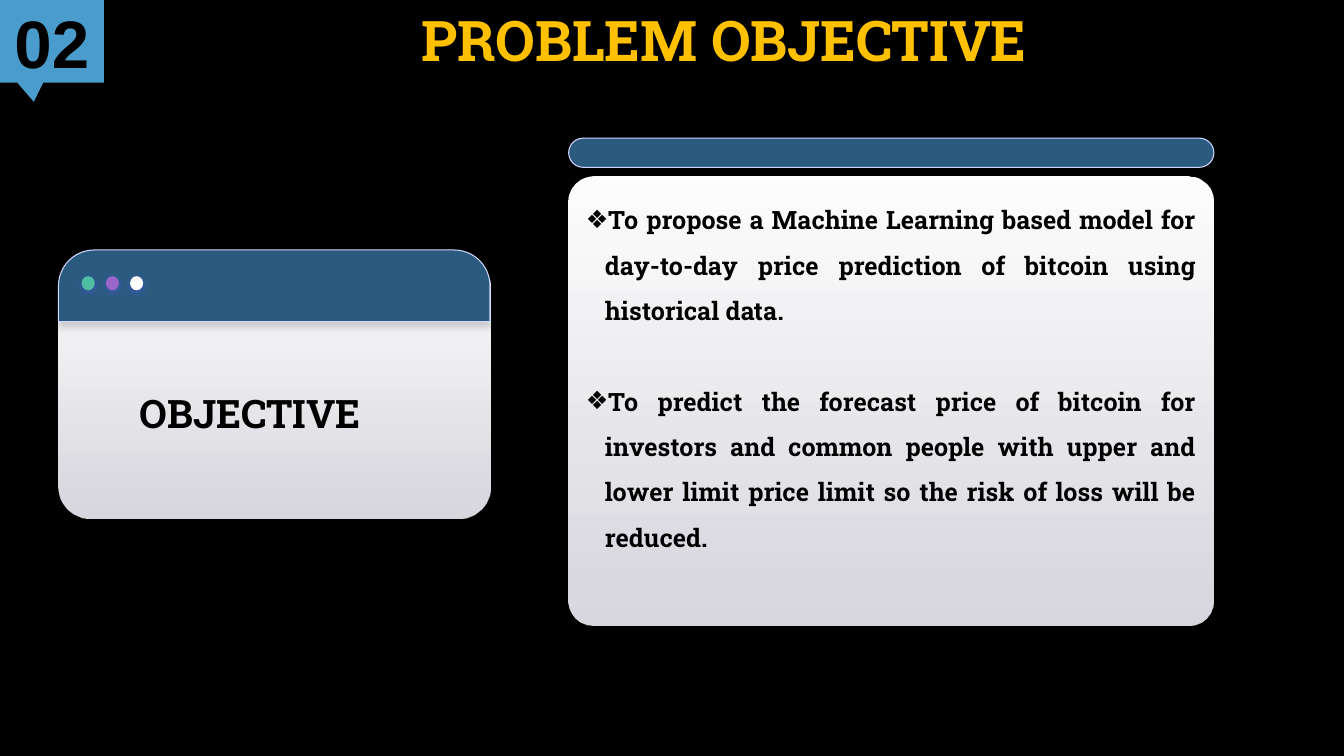
from dataclasses import dataclass
from typing import Optional

from lxml import etree
from pptx import Presentation, util as u
from pptx.dml.color import RGBColor
from pptx.enum import shapes, text
from pptx.oxml import ns

BLACK = RGBColor(0x00, 0x00, 0x00)
WHITE = RGBColor(0xFF, 0xFF, 0xFF)
MIST = RGBColor(0xF9, 0xF8, 0xFF)
NAVY = RGBColor(0x2A, 0x5B, 0x7F)
EDGE = RGBColor(0xD2, 0xD6, 0xFF)
SKY = RGBColor(0x4A, 0x9C, 0xCC)
GOLD = RGBColor(0xFF, 0xC0, 0x00)
GREEN = RGBColor(0x50, 0xBE, 0xA3)
PURPLE = RGBColor(0x9A, 0x66, 0xCA)
INDIGO = RGBColor(0x53, 0x52, 0xEE)

SLAB = "Roboto Slab"
KIND = shapes.MSO_SHAPE
GOALS = [
    "To propose a Machine Learning based model for day-to-day price "
    "prediction of bitcoin using historical data.",
    "To predict the forecast price of bitcoin for investors and common people "
    "with upper and lower limit price limit so the risk of loss will be reduced.",
]


@dataclass
class Shade:
    color: RGBColor
    alpha: int
    dist: float


@dataclass
class Part:
    kind: shapes.MSO_SHAPE
    box: tuple[float, float, float, float]
    shade: Shade
    fill: Optional[RGBColor] = None  # None gives the pale gradient
    adj: tuple[float, ...] = ()
    line: Optional[RGBColor] = None


def place(shape, box: tuple[float, float, float, float]) -> None:
    shape.left, shape.top, shape.width, shape.height = map(u.Inches, box)


def add_alpha(color, percent: int) -> None:
    etree.SubElement(color, ns.qn("a:alpha"), val=str(percent * 1000))


def cast(shape, shade: Shade) -> None:
    shape.shadow.inherit = False
    effects = shape._element.spPr.find(ns.qn("a:effectLst"))
    outer = etree.SubElement(
        effects, ns.qn("a:outerShdw"), blurRad=str(u.Pt(4.5)),
        dist=str(u.Pt(shade.dist)), dir="5400000", rotWithShape="0")
    color = etree.SubElement(outer, ns.qn("a:srgbClr"), val=str(shade.color))
    add_alpha(color, shade.alpha)


def fade(shape) -> None:
    shape.fill.gradient()
    shape.fill.gradient_angle = 270
    for stop, color, spot in zip(shape.fill.gradient_stops, (WHITE, MIST), (0, 1)):
        stop.color.rgb = color
        stop.position = spot
    last = shape._element.spPr.findall(".//" + ns.qn("a:srgbClr"))[-1]
    add_alpha(last, 87)


def draw(slide, part: Part):
    shape = slide.shapes.add_shape(part.kind, *map(u.Inches, part.box))
    for i, value in enumerate(part.adj):
        shape.adjustments[i] = value
    if part.fill is None:
        fade(shape)
    else:
        shape.fill.solid()
        shape.fill.fore_color.rgb = part.fill
    if part.line is None:
        shape.line.fill.background()
    else:
        shape.line.color.rgb = part.line
        shape.line.width = u.Pt(0.75)
    cast(shape, part.shade)
    return shape


def set_frame(frame, inset: float, anchor=text.MSO_ANCHOR.TOP, wrap: bool = True) -> None:
    frame.auto_size = text.MSO_AUTO_SIZE.NONE
    frame.word_wrap = wrap
    frame.vertical_anchor = anchor
    frame.margin_left = frame.margin_right = u.Inches(inset)
    frame.margin_top = frame.margin_bottom = u.Inches(inset / 2)


def style(para, size: int, align, color: RGBColor = BLACK, face: str = SLAB) -> None:
    para.alignment = align
    for run in para.runs:
        run.font.name = face
        run.font.size = u.Pt(size)
        run.font.bold = True
        run.font.color.rgb = color


def add_bullet(para, indent: float) -> None:
    props = para._p.get_or_add_pPr()
    props.set("marL", str(u.Inches(indent)))
    props.set("indent", str(-u.Inches(indent)))
    etree.SubElement(props, ns.qn("a:buChar"), char="❖")


def main() -> None:
    deck = Presentation()
    deck.slide_width, deck.slide_height = u.Inches(13.33), u.Inches(7.5)
    slide = deck.slides.add_slide(deck.slide_layouts[1])
    slide.background.fill.solid()
    slide.background.fill.fore_color.rgb = BLACK
    title, body = slide.placeholders
    align = text.PP_ALIGN

    # Title
    place(title, (1.03, 0, 12.3, 0.77))
    set_frame(title.text_frame, 0.1)
    title.text_frame.text = "PROBLEM OBJECTIVE"
    style(title.text_frame.paragraphs[0], 40, align.CENTER, GOLD)

    # Number tag
    soft = Shade(BLACK, 22, 3.8)
    tag = draw(slide, Part(KIND.ROUNDED_RECTANGULAR_CALLOUT, (0, 0, 1.03, 0.82),
                           soft, SKY, (-0.174, 0.731, 0)))
    set_frame(tag.text_frame, 0.13, text.MSO_ANCHOR.MIDDLE, False)
    tag.text_frame.text = "02"
    style(tag.text_frame.paragraphs[0], 48, align.CENTER, face="Arial")

    # Window card, text panel and bar
    glow = Shade(INDIGO, 50, 1.5)
    parts = [
        Part(KIND.ROUNDED_RECTANGLE, (0.58, 2.55, 4.28, 2.59), soft, adj=(0.124,)),
        Part(KIND.ROUND_2_SAME_RECTANGLE, (0.58, 2.48, 4.28, 0.71),
             Shade(BLACK, 15, 3.8), NAVY, (0.5, 0), EDGE),
        Part(KIND.ROUNDED_RECTANGLE, (5.64, 1.75, 6.4, 4.46), soft, adj=(0.056,)),
        Part(KIND.ROUNDED_RECTANGLE, (5.64, 1.37, 6.4, 0.29),
             Shade(BLACK, 50, 1.5), NAVY, (0.5,), EDGE),
    ]
    parts += [Part(KIND.OVAL, (0.81 + 0.24 * i, 2.74, 0.13, 0.14), glow, color)
              for i, color in enumerate((GREEN, PURPLE, WHITE))]
    for part in parts:
        draw(slide, part)

    # Card label
    label = slide.shapes.add_textbox(*map(u.Inches, (1.29, 3.81, 3.3, 0.57)))
    set_frame(label.text_frame, 0.1)
    label.text_frame.text = "OBJECTIVE"
    style(label.text_frame.paragraphs[0], 28, align.LEFT)

    # Goals, brought in front of the panel
    slide.shapes._spTree.append(body._element)
    place(body, (5.81, 1.88, 6.05, 4.2))
    set_frame(body.text_frame, 0)
    body.text_frame.text = "\n".join(GOALS)
    for i, para in enumerate(body.text_frame.paragraphs):
        add_bullet(para, 0.19)
        para.line_spacing = 1.5
        para.space_before = u.Pt(32.4 * i)
        style(para, 18, align.JUSTIFY)

    deck.save("out.pptx")


if __name__ == "__main__":
    main()
